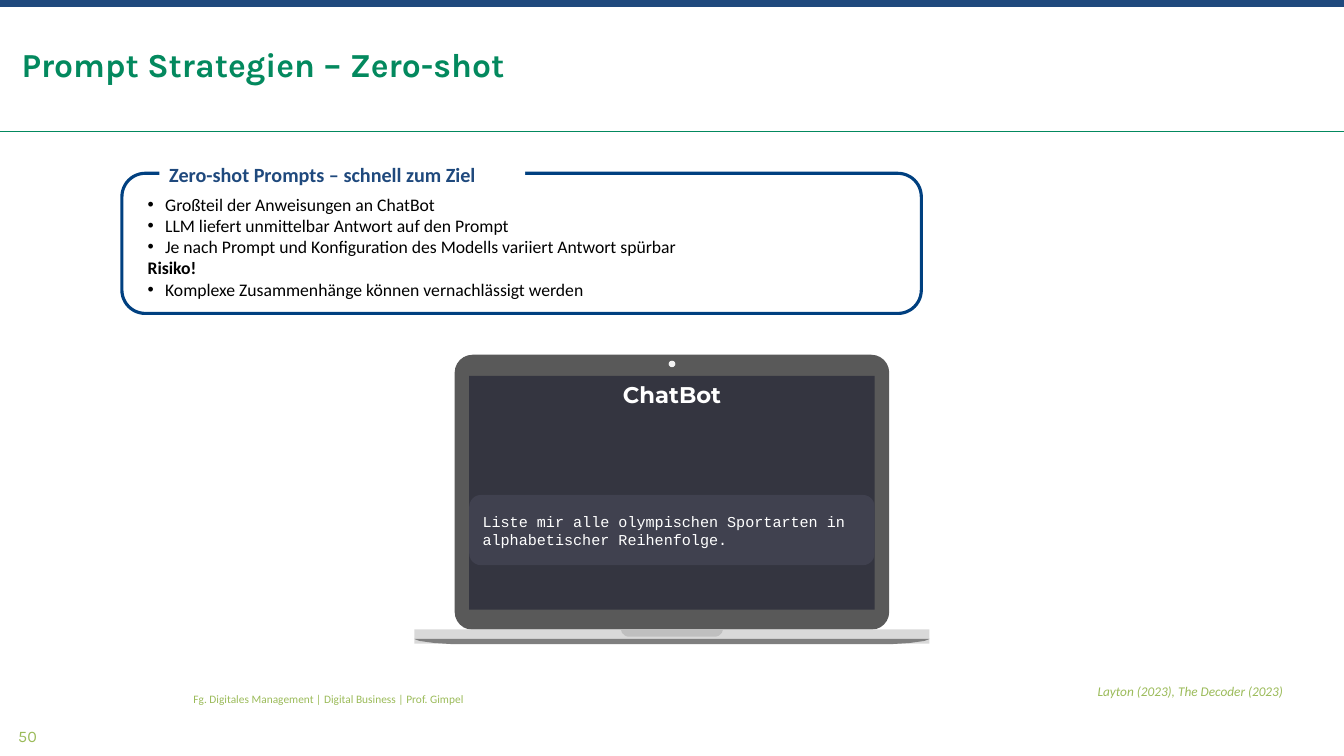
import pptx
import pptx.util
import pptx.dml.color
import pptx.enum.shapes
import pptx.enum.text
import lxml.etree
from dataclasses import dataclass

Pt = pptx.util.Pt
SHAPE = pptx.enum.shapes.MSO_SHAPE
ANCHOR = pptx.enum.text.MSO_ANCHOR
ALIGN = pptx.enum.text.PP_ALIGN
DRAWING = "http://schemas.openxmlformats.org/drawingml/2006/main"


@dataclass
class Theme:
    # Colours
    green: str = "03895E"
    lime: str = "9BBB59"
    blue: str = "1F497D"
    frame: str = "004080"
    white: str = "FFFFFF"
    black: str = "000000"
    case: str = "595959"
    screen: str = "343540"
    prompt: str = "40414F"
    base: str = "D9D9D9"
    foot: str = "7F7F7F"
    notch: str = "BFBFBF"
    camera: str = "F2F2F2"
    # Type sizes
    title: float = 24
    heading: float = 14.4
    body: float = 12.6
    brand: float = 16.2
    code: float = 10.8
    number: float = 11.5
    footer: float = 8.1
    citation: float = 9.5


def rgb(colour):
    return pptx.dml.color.RGBColor.from_string(colour)


def write(para, text, font="Calibri", size=12, colour="000000", bold=False,
          italic=False, align=ALIGN.LEFT, bullet=None, indent=12.5):
    """Add formatted text to a paragraph, with a hanging bullet if given."""
    para.alignment = align
    if bullet:
        props = para._p.get_or_add_pPr()
        props.set("marL", str(Pt(indent)))
        props.set("indent", str(-Pt(indent)))
        face = lxml.etree.SubElement(props, f"{{{DRAWING}}}buFont")
        face.set("typeface", "Arial")
        mark = lxml.etree.SubElement(props, f"{{{DRAWING}}}buChar")
        mark.set("char", bullet)
    span = para.add_run()
    span.text = text
    span.font.name = font
    span.font.size = Pt(size)
    span.font.bold = bold
    span.font.italic = italic
    span.font.color.rgb = rgb(colour)


class SlideBuilder:
    def __init__(self, deck, theme):
        self.theme = theme
        self.page = deck.slides.add_slide(deck.slide_layouts[5])

    def frame(self, box, anchor=ANCHOR.TOP, inset=True):
        frame = box.text_frame
        frame.word_wrap = True
        frame.auto_size = pptx.enum.text.MSO_AUTO_SIZE.NONE
        frame.vertical_anchor = anchor
        frame.margin_left = frame.margin_right = Pt(7.2 if inset else 0)
        frame.margin_top = frame.margin_bottom = Pt(3.6 if inset else 0)
        return frame

    def title(self, text, left, top, width, height):
        box = self.page.shapes.title
        box.left, box.top, box.width, box.height = map(Pt, (left, top, width, height))
        write(self.frame(box, ANCHOR.BOTTOM, inset=False).paragraphs[0], text,
              font="Karla", size=self.theme.title, colour=self.theme.green, bold=True)

    def text(self, text, left, top, width, height, anchor=ANCHOR.TOP, **style):
        box = self.page.shapes.add_textbox(*map(Pt, (left, top, width, height)))
        write(self.frame(box, anchor, inset=False).paragraphs[0], text, **style)

    def points(self, items, left, top, width, height, **style):
        box = self.page.shapes.add_textbox(*map(Pt, (left, top, width, height)))
        frame = self.frame(box)
        for index, (text, extra) in enumerate(items):
            para = frame.add_paragraph() if index else frame.paragraphs[0]
            write(para, text, **style, **extra)

    def paint(self, shape, fill, line=None, weight=0):
        shape.shadow.inherit = False
        shape.fill.solid()
        shape.fill.fore_color.rgb = rgb(fill)
        if line:
            shape.line.color.rgb = rgb(line)
            shape.line.width = Pt(weight)
        else:
            shape.line.fill.background()

    def shape(self, kind, left, top, width, height, fill, line=None, weight=0,
              radius=None, text=None, anchor=ANCHOR.TOP, **style):
        shape = self.page.shapes.add_shape(kind, *map(Pt, (left, top, width, height)))
        self.paint(shape, fill, line, weight)
        if radius is not None:
            shape.adjustments[0] = radius
        if text:
            write(self.frame(shape, anchor).paragraphs[0], text, **style)

    def tray(self, left, top, width, profile, fill):
        """Draw a symmetric tray from its left profile of (inset, depth)."""
        left_side = [(left + inset, top + depth) for inset, depth in profile]
        right_side = [(left + width - inset, top + depth) for inset, depth in profile]
        outline = [(Pt(x), Pt(y)) for x, y in right_side + left_side[::-1]]
        builder = self.page.shapes.build_freeform(*outline[0], scale=1.0)
        builder.add_line_segments(outline[1:], close=True)
        self.paint(builder.convert_to_shape(), fill)

    def rule(self, left, top, right, colour, weight):
        line = self.page.shapes.add_connector(
            pptx.enum.shapes.MSO_CONNECTOR.STRAIGHT, Pt(left), Pt(top), Pt(right), Pt(top))
        line.line.color.rgb = rgb(colour)
        line.line.width = Pt(weight)
        lxml.etree.SubElement(line._element.spPr, f"{{{DRAWING}}}effectLst")


def main():
    deck = pptx.Presentation()
    deck.slide_width, deck.slide_height = Pt(960), Pt(540)
    theme = Theme()
    slide = SlideBuilder(deck, theme)

    # Header
    slide.rule(0, 94.3, 960, theme.green, 0.72)
    slide.shape(SHAPE.RECTANGLE, 0, 0, 960, 5, theme.blue)
    slide.title("Prompt Strategien – Zero-shot", 15.4, 31.7, 929.5, 28.8)

    # Footer
    slide.text("50", 13, 519, 467, 14, font="Karla", size=theme.number, colour=theme.lime)
    slide.text("Fg. Digitales Management | Digital Business | Prof. Gimpel",
               138.2, 494, 521, 10, ANCHOR.MIDDLE, size=theme.footer, colour=theme.lime)
    slide.text("Layton (2023), The Decoder (2023)", 43.2, 488.2, 873.4, 11.5, ANCHOR.BOTTOM,
               size=theme.citation, colour=theme.lime, italic=True, align=ALIGN.RIGHT)

    # Framed summary
    slide.shape(SHAPE.ROUNDED_RECTANGLE, 87.1, 123.8, 571, 100.1, theme.white,
                theme.frame, 2.25)
    slide.shape(SHAPE.RECTANGLE, 113.8, 112.3, 261.4, 24.5, theme.white,
                text="Zero-shot Prompts – schnell zum Ziel",
                size=theme.heading, colour=theme.blue, bold=True)
    bullet = {"bullet": "•"}
    slide.points([
        ("Großteil der Anweisungen an ChatBot", bullet),
        ("LLM liefert unmittelbar Antwort auf den Prompt", bullet),
        ("Je nach Prompt und Konfiguration des Modells variiert Antwort spürbar", bullet),
        ("Risiko!", {"bold": True}),
        ("Komplexe Zusammenhänge können vernachlässigt werden", bullet),
    ], 98.4, 134.8, 548, 83.5, size=theme.body, colour=theme.black)

    # Laptop, centred on the slide
    middle, screen_width, base_width = 480, 289.6, 368
    screen_left, base_left = middle - screen_width / 2, middle - base_width / 2
    slide.shape(SHAPE.ROUNDED_RECTANGLE, middle - 155.2, 253.4, 310.4, 196.4,
                theme.case, radius=0.065)
    slide.shape(SHAPE.RECTANGLE, screen_left, 268.4, screen_width, 167, theme.screen,
                text="ChatBot", font="Montserrat", size=theme.brand,
                colour=theme.white, bold=True, align=ALIGN.CENTER)
    slide.shape(SHAPE.RECTANGLE, base_left, 449.6, base_width, 10.2, theme.base)
    slide.shape(SHAPE.OVAL, middle - 2.4, 257.7, 4.8, 4.6, theme.camera)
    slide.tray(base_left, 456.4, base_width,
               [(0, 0), (3.6, 1.4), (14.4, 2.9), (25.9, 3.6)], theme.foot)
    slide.tray(middle - 36.4, 449.8, 72.8,
               [(0, 0), (0.7, 2.2), (2.9, 4.3), (5, 5)], theme.notch)
    slide.shape(SHAPE.ROUNDED_RECTANGLE, screen_left, 353.5, screen_width, 50.2,
                theme.prompt, anchor=ANCHOR.MIDDLE,
                text="Liste mir alle olympischen Sportarten in alphabetischer Reihenfolge.",
                font="Courier New", size=theme.code, colour=theme.white)

    deck.save("out.pptx")


if __name__ == "__main__":
    main()
